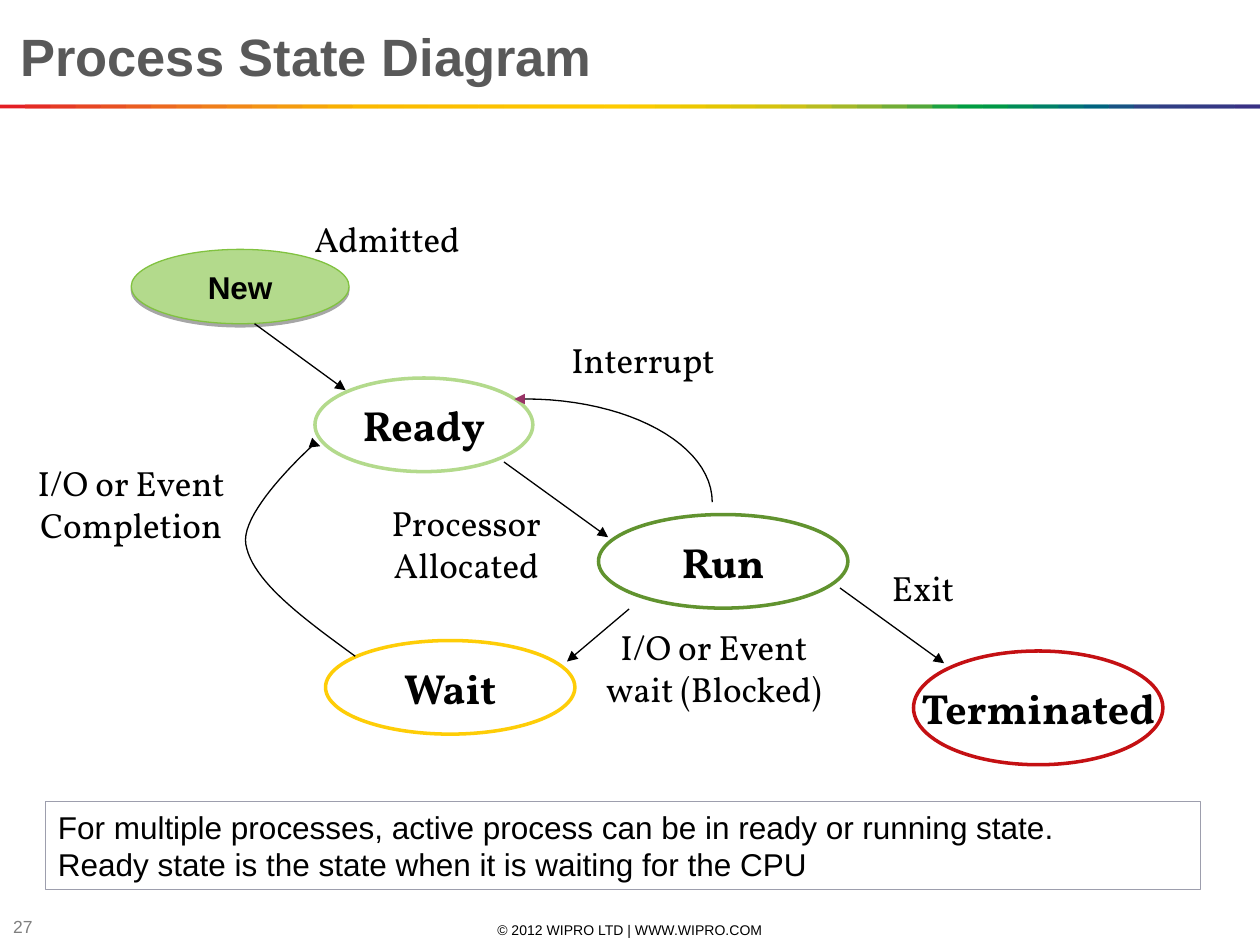
from lxml import etree
from pptx import Presentation
from pptx.dml.color import RGBColor
from pptx.enum.shapes import MSO_CONNECTOR, MSO_SHAPE
from pptx.enum.text import MSO_ANCHOR, PP_ALIGN
from pptx.oxml import parse_xml
from pptx.oxml.ns import nsdecls, qn
from pptx.util import Pt

BLACK = RGBColor(0, 0, 0)
WHITE = RGBColor(0xFF, 0xFF, 0xFF)
TITLE_GREY = RGBColor(0x59, 0x59, 0x59)
NUMBER_GREY = RGBColor(0x7F, 0x7F, 0x7F)
BORDER_GREY = RGBColor(0x9D, 0x9E, 0xAD)
LIGHT_GREEN = RGBColor(0xB3, 0xDA, 0x8C)
MID_GREEN = RGBColor(0x81, 0xC2, 0x40)
DARK_GREEN = RGBColor(0x61, 0x93, 0x2F)
YELLOW = RGBColor(0xFE, 0xCD, 0x07)
RED = RGBColor(0xC4, 0x10, 0x13)
PURPLE = RGBColor(0x99, 0x33, 0x66)
SANS, SERIF = "Arial", "Vollkorn"

TITLE = "Process State Diagram"
NOTE = [
    "For multiple processes, active process can be in ready or running state.",
    "Ready state is the state when it is waiting for the CPU",
]
RAINBOW = """
    E31E24 E42C24 E53A24 E74623 E85122 EA5D21 EC691F EE741D EF7E1A F18817
    F39314 F49C0F F6A607 F8B002 FBBA00 FBBB00 FBBD00 FCBF00 FCC000 FCC200
    FDC400 FDC600 FDC700 FEC900 FECB00 FBCB00 F3CA00 ECC800 E4C602 DCC50A
    D5C30E CCC117 B8BC21 A3B829 8CB230 71AD36 51A73B 1DA240 009D43 009846
    008C57 008068 007275 00637F 185384 2E4285 313E85 333B85 353885 393185
""".split()

# text, box, fill, line colour, line width, font, size
STATES = [
    ("Ready", (180, 216, 124.5, 53.5), WHITE, LIGHT_GREEN, 2, SERIF, 24),
    ("Wait", (186, 366, 142.5, 53.5), WHITE, YELLOW, 2, SERIF, 24),
    ("Terminated", (522, 372, 142.5, 65), WHITE, RED, 2, SERIF, 24),
    ("Run", (342, 294, 142.5, 53.5), WHITE, DARK_GREEN, 2, SERIF, 24),
    ("New", (75, 142.5, 124.5, 42.5), LIGHT_GREEN, MID_GREEN, 0.75, SANS, 18),
]
LABELS = [
    ("Admitted", (159, 121, 124.5, 31.5)),
    ("Exit", (489, 320, 77, 31.5)),
    ("I/O or Event wait (Blocked)", (327, 354, 162, 55.5)),
    ("Interrupt", (311, 190, 113, 31.5)),
    ("I/O or Event Completion", (0, 260, 150, 55.5)),
    ("Processor Allocated", (210, 283, 113, 55.5)),
]
ARROWS = [
    ((145.5, 185), (197.5, 223), BLACK),
    ((288, 264), (347.5, 307), BLACK),
    ((480, 336), (539.5, 379), BLACK),
    ((359.5, 348), (324, 378), BLACK),
    ((300, 228), (294, 228), PURPLE),
]
INTERRUPT_CURVE = [((300, 228), (359, 228), (407, 254), (407, 287))]
COMPLETION_CURVE = [
    ((203, 375), (173.5, 353.5), (144, 332), (140.5, 311)),
    ((140.5, 311), (137, 291), (181.5, 252), (181.5, 252)),
]
SHADOW = (
    f'<a:effectLst {nsdecls("a")}><a:outerShdw dist="22860" dir="5400000" rotWithShape="0">'
    '<a:srgbClr val="000000"><a:alpha val="35000"/></a:srgbClr></a:outerShdw></a:effectLst>'
)


def write(shape, lines, font, size, color, bold=False, align=PP_ALIGN.LEFT,
          anchor=MSO_ANCHOR.TOP, wrap=True, left=7.2):
    tf = shape.text_frame
    tf.word_wrap = wrap
    tf.vertical_anchor = anchor
    tf.margin_left, tf.margin_right = Pt(left), Pt(7.2)
    tf.margin_top = tf.margin_bottom = Pt(3.6)
    tf.text = "\n".join(lines)
    for p in tf.paragraphs:
        p.alignment = align
        p.font.name, p.font.size, p.font.bold = font, Pt(size), bold
        p.font.color.rgb = color


def add_shape(s, kind, box, fill=None, line=None, width=0.75):
    sp = s.shapes.add_shape(kind, *map(Pt, box))
    sp.shadow.inherit = False
    if fill is None:
        sp.fill.background()
    else:
        sp.fill.solid()
        sp.fill.fore_color.rgb = fill
    if line is None:
        sp.line.fill.background()
    else:
        sp.line.color.rgb = line
        sp.line.width = Pt(width)
    return sp


def add_head(sp):
    etree.SubElement(sp.line._get_or_add_ln(), qn("a:tailEnd"), type="triangle")


def add_arrow(s, start, end, color):
    c = s.shapes.add_connector(MSO_CONNECTOR.STRAIGHT, *map(Pt, start + end))
    c.line.color.rgb = color
    c.line.width = Pt(0.75)
    add_head(c)
    etree.SubElement(c._element.spPr, qn("a:effectLst"))


def bezier(points, steps=24):
    for i in range(1, steps + 1):
        t = i / steps
        weights = ((1 - t) ** 3, 3 * t * (1 - t) ** 2, 3 * t * t * (1 - t), t ** 3)
        yield tuple(Pt(sum(w * v for w, v in zip(weights, axis))) for axis in zip(*points))


def add_curve(s, curves, tip=()):
    points = [pt for curve in curves for pt in bezier(curve)]
    points += [(Pt(x), Pt(y)) for x, y in tip]
    x, y = curves[0][0]
    fb = s.shapes.build_freeform(Pt(x), Pt(y))
    fb.add_line_segments(points, close=False)
    sp = fb.convert_to_shape()
    sp.shadow.inherit = False
    sp.fill.background()
    sp.line.color.rgb = BLACK
    sp.line.width = Pt(0.75)
    return sp


def main():
    prs = Presentation()
    prs.slide_width, prs.slide_height = Pt(720), Pt(540)
    s = prs.slides.add_slide(prs.slide_layouts[5])

    step = 720 / len(RAINBOW)
    for i, code in enumerate(RAINBOW):
        x = i * step
        add_shape(s, MSO_SHAPE.RECTANGLE, (x, 59.8, min(2 * step, 720 - x), 2.2),
                  RGBColor.from_string(code))

    title = s.shapes.title
    title.left, title.top, title.width, title.height = map(Pt, (11.5, 10, 582, 44))
    write(title, [TITLE], SANS, 30, TITLE_GREY, bold=True, left=0)

    for text, box, fill, line, width, font, size in STATES:
        sp = add_shape(s, MSO_SHAPE.OVAL, box, fill, line, width)
        write(sp, [text], font, size, BLACK, True, PP_ALIGN.CENTER, MSO_ANCHOR.MIDDLE, wrap=False)
        if text == "New":
            spPr = sp._element.spPr
            spPr.replace(spPr.find(qn("a:effectLst")), parse_xml(SHADOW))

    for arrow in ARROWS:
        add_arrow(s, *arrow)
    add_curve(s, INTERRUPT_CURVE)
    add_head(add_curve(s, COMPLETION_CURVE, tip=[(183, 255)]))

    for text, box in LABELS:
        tb = s.shapes.add_textbox(*map(Pt, box))
        write(tb, [text], SERIF, 20, BLACK, align=PP_ALIGN.CENTER)

    note = add_shape(s, MSO_SHAPE.RECTANGLE, (26, 458, 660, 50.5), line=BORDER_GREY)
    write(note, NOTE, SANS, 18, BLACK)

    footer = s.shapes.add_textbox(*map(Pt, (246, 525.5, 228, 11.5)))
    write(footer, ["© 2012 WIPRO LTD | WWW.WIPRO.COM"], SANS, 8, BLACK,
          align=PP_ALIGN.CENTER, anchor=MSO_ANCHOR.MIDDLE)
    number = s.shapes.add_textbox(*map(Pt, (0.5, 523.5, 28, 11.5)))
    write(number, ["27"], SANS, 10, NUMBER_GREY, anchor=MSO_ANCHOR.MIDDLE)

    prs.save("out.pptx")


if __name__ == "__main__":
    main()
